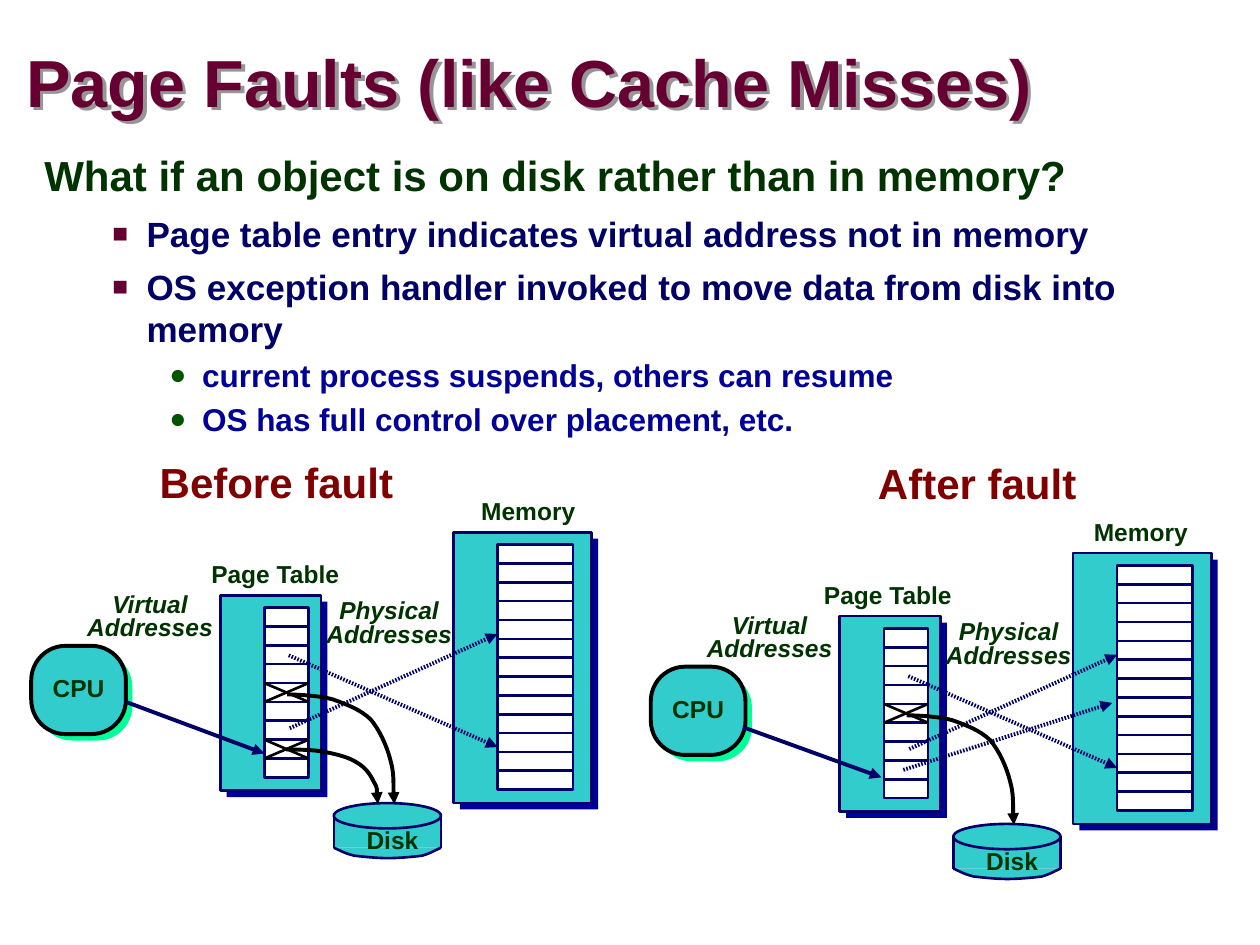
"""Build a slide on page faults, showing the page table before and after a fault."""
from dataclasses import dataclass
from typing import Any, Optional

from lxml.etree import SubElement
from pptx import Presentation
from pptx.dml.color import RGBColor
from pptx.enum.shapes import MSO_CONNECTOR as Connector, MSO_SHAPE as Preset
from pptx.enum.text import MSO_ANCHOR as Anchor, MSO_AUTO_SIZE as AutoSize, PP_ALIGN as Align
from pptx.oxml.ns import qn
from pptx.util import Cm, Pt

NAVY, TEAL, GREEN, BLACK, WHITE = "000066", "33CCCC", "003300", "000000", "FFFFFF"
DEPTH = 0.13
SLOT_HEIGHT = 0.38
SLOT_INSET = (0.89, 0.25)

Point = tuple[float, float]
Line = tuple[Point, Point]


@dataclass(frozen=True)
class Level:
    size: float
    color: str
    margin: float
    indent: float
    spacing: float
    before: float
    bullet: str = ""
    bullet_color: str = ""
    bullet_size: int = 100


@dataclass(frozen=True)
class Panel:
    heading: str
    heading_box: tuple[float, float, float, float]
    dx: float
    dy: float
    label_shift: float
    absent_slots: tuple[int, ...]
    lookup: Line
    mappings: tuple[Line, ...]
    disk_paths: tuple[tuple[Point, ...], ...]


LEVELS = (
    Level(24, GREEN, 1.07, -1.07, 0.95, 0),
    Level(20, NAVY, 2.06, -0.69, 1.0, 6.2, "■", "660033", 75),
    Level(18, "000099", 3.18, -0.66, 1.07, 2.2, "●", "005400", 90),
)
BODY = (
    (0, "What if an object is on disk rather than in memory?"),
    (1, "Page table entry indicates virtual address not in memory"),
    (1, "OS exception handler invoked to move data from disk into memory"),
    (2, "current process suspends, others can resume"),
    (2, "OS has full control over placement, etc."),
)
UPPER_PATH = ((5.79, 14.0), (5.94, 14.0), (6.43, 14.02), (6.71, 14.1), (6.99, 14.2), (7.26, 14.3),
              (7.47, 14.5), (7.65, 14.71), (7.8, 15.04), (7.87, 15.32), (7.95, 15.6), (7.92, 16.0),
              (7.95, 16.21))
LOWER_PATH = ((5.77, 15.11), (5.92, 15.11), (6.32, 15.11), (6.55, 15.16), (6.81, 15.21),
              (7.04, 15.27), (7.19, 15.37), (7.37, 15.47), (7.47, 15.62), (7.54, 15.77),
              (7.62, 15.9), (7.59, 16.1), (7.62, 16.21))
DISK_RIM = ((6.73, 17.09), (6.81, 17.12), (6.93, 17.2), (7.14, 17.25), (7.32, 17.27), (7.59, 17.3),
            (7.82, 17.3), (8.05, 17.3), (8.36, 17.27), (8.51, 17.25), (8.69, 17.2), (8.81, 17.12),
            (8.89, 17.09))
MAPPINGS = (((5.82, 13.21), (10.03, 15.06)), ((5.84, 14.68), (10.03, 12.78)))
PANELS = (
    Panel("Before fault", (2.97, 9.19, 5.21, 1.17), 0, 0, 0, (4, 7),
          ((2.54, 14.15), (5.33, 15.19)), MAPPINGS, (UPPER_PATH, LOWER_PATH)),
    Panel("After fault", (17.45, 9.22, 4.5, 1.17), 12.49, 0.42, -0.14, (4,),
          ((2.49, 14.24), (5.28, 15.25)), MAPPINGS + (((5.72, 15.1), (9.93, 13.75)),),
          (UPPER_PATH,)),
)


def apply(target: Any, values: dict[str, Any]) -> None:
    """Set each named value as an attribute of the target."""
    for name, value in values.items():
        setattr(target, name, value)


def paint(color_format: Any, value: str) -> None:
    """Give a colour format a hex colour."""
    color_format.rgb = RGBColor.from_string(value)


def add_span(para: Any, text: str, size: float, color: str, italic: bool = False) -> None:
    """Add a bold Arial run to a paragraph."""
    span = para.add_run()
    span.text = text
    apply(span.font, {"name": "Arial", "size": Pt(size), "bold": True, "italic": italic})
    paint(span.font.color, color)


def add_label(page: Any, text: str, box_cm: tuple[float, ...], size: float = 14, color: str = GREEN,
              italic: bool = False, spacing: float = 0.9) -> None:
    """Add a text box with one paragraph per line of text."""
    box = page.shapes.add_textbox(*map(Cm, box_cm))
    frame = box.text_frame
    apply(frame, {"word_wrap": False, "auto_size": AutoSize.SHAPE_TO_FIT_TEXT})
    for index, line in enumerate(text.split("\n")):
        para = frame.add_paragraph() if index else frame.paragraphs[0]
        apply(para, {"alignment": Align.CENTER if italic else Align.LEFT, "line_spacing": spacing})
        add_span(para, line, size, color, italic)


def style_shape(shape: Any, fill: Optional[str], line: Optional[str], width: float) -> None:
    """Set the fill and outline of a shape and drop its shadow."""
    shape.shadow.inherit = False
    if fill:
        shape.fill.solid()
        paint(shape.fill.fore_color, fill)
    else:
        shape.fill.background()
    if line:
        paint(shape.line.color, line)
        shape.line.width = Pt(width)
    else:
        shape.line.fill.background()


def add_block(page: Any, box_cm: tuple[float, ...], fill: str, line: Optional[str] = NAVY,
              preset: Preset = Preset.RECTANGLE, width: float = 1.5) -> Any:
    """Add a filled preset shape."""
    shape = page.shapes.add_shape(preset, *map(Cm, box_cm))
    style_shape(shape, fill, line, width)
    if preset == Preset.ROUNDED_RECTANGLE:
        shape.adjustments[0] = 0.39
    return shape


def add_raised(page: Any, box_cm: tuple[float, ...], shade: str, **style: Any) -> Any:
    """Add a teal block above an offset block of the shade colour."""
    left, top, width, height = box_cm
    add_block(page, (left + DEPTH, top + DEPTH, width, height), shade,
              preset=style.get("preset", Preset.RECTANGLE), line=None)
    return add_block(page, box_cm, TEAL, **style)


def add_arrowhead(shape: Any) -> None:
    """Put a triangle at the end of a line."""
    SubElement(shape.line._get_or_add_ln(), qn("a:tailEnd"), type="triangle")


def add_line(page: Any, start: Point, end: Point, color: str = NAVY, width: float = 1.5,
             arrow: bool = False, dotted: bool = False) -> None:
    """Add a straight connector."""
    line = page.shapes.add_connector(Connector.STRAIGHT, *map(Cm, (*start, *end)))
    paint(line.line.color, color)
    line.line.width = Pt(width)
    if dotted:
        dashes = SubElement(line.line._get_or_add_ln(), qn("a:custDash"))
        SubElement(dashes, qn("a:ds"), d="40000", sp="40000")
    if arrow:
        add_arrowhead(line)
    SubElement(line._element.spPr, qn("a:effectLst"))


def add_curve(page: Any, points: list[Point], fill: Optional[str], line: str, width: float) -> Any:
    """Add an open freeform of cubic curves, three points to a curve."""
    start, *rest = [(Cm(x), Cm(y)) for x, y in points]
    builder = page.shapes.build_freeform(*start)
    builder.add_line_segments(rest, close=False)
    shape = builder.convert_to_shape()
    outline = shape._element.find(".//" + qn("a:path"))
    segments = outline.findall(qn("a:lnTo"))
    for first in range(0, len(segments), 3):
        curve = SubElement(outline, qn("a:cubicBezTo"))
        for segment in segments[first:first + 3]:
            curve.append(segment[0])
            outline.remove(segment)
    style_shape(shape, fill, line, width)
    return shape


def add_slots(page: Any, box_cm: tuple[float, ...], width: float, count: int) -> list[tuple[float, ...]]:
    """Add a raised frame with a column of slots and return their boxes."""
    add_raised(page, box_cm, "000099")
    left, top = box_cm[0] + SLOT_INSET[0], box_cm[1] + SLOT_INSET[1]
    slots = [(left, top + row * SLOT_HEIGHT, width, SLOT_HEIGHT) for row in range(count)]
    for slot in slots:
        add_block(page, slot, WHITE)
    return slots


def draw_panel(page: Any, panel: Panel) -> None:
    """Draw one state of the CPU, page table, memory and disk."""
    def at(x: float, y: float, *size: float) -> tuple[float, ...]:
        """Move a place into the panel."""
        return (x + panel.dx, y + panel.dy, *size)

    cpu = add_raised(page, at(0.63, 13.02, 1.91, 1.78), "00FF99", line=BLACK,
                     preset=Preset.ROUNDED_RECTANGLE, width=2.25)
    apply(cpu.text_frame, {"word_wrap": False, "vertical_anchor": Anchor.MIDDLE})
    para = cpu.text_frame.paragraphs[0]
    apply(para, {"alignment": Align.CENTER, "line_spacing": 0.9})
    add_span(para, "CPU", 14, GREEN)

    add_slots(page, at(9.14, 10.73, 2.79, 5.46), 1.52, 13)
    add_label(page, "Memory", at(9.45 + panel.label_shift, 9.94, 2.41, 0.79))
    entries = add_slots(page, at(4.44, 12.0, 2.03, 3.94), 0.89, 9)
    add_label(page, "Page Table", at(4.01 + panel.label_shift, 11.21, 3.12, 0.79))

    for start, end in panel.mappings:
        add_line(page, at(*start), at(*end), width=2.25, arrow=True, dotted=True)
    for row in panel.absent_slots:
        left, top, width, height = entries[row]
        add_line(page, (left, top + height), (left + width, top), BLACK)
        add_line(page, (left + width, top + height), (left, top), BLACK)

    add_block(page, at(6.73, 16.45, 2.16, 0.64), TEAL, None)
    add_block(page, at(6.73, 16.19, 2.16, 0.51), TEAL, preset=Preset.OVAL)
    for side in (6.73, 8.89):
        add_line(page, at(side, 16.45), at(side, 17.09))
    add_curve(page, [at(*point) for point in DISK_RIM], TEAL, NAVY, 1.5)
    add_label(page, "Disk", at(7.14, 16.57, 1.55, 0.79))
    for disk_path in panel.disk_paths:
        add_arrowhead(add_curve(page, [at(*point) for point in disk_path], None, BLACK, 2.25))

    for text, left, top in (("Virtual", 1.5, 11.86), ("Physical", 6.32, 11.99)):
        add_label(page, f"{text}\nAddresses", at(left, top, 3.05, 1.19), italic=True, spacing=0.8)
    add_label(page, panel.heading, panel.heading_box, 24, "800000")
    start, end = panel.lookup
    add_line(page, at(*start), at(*end), width=2.25, arrow=True)


def place(holder: Any, box_cm: tuple[float, ...]) -> None:
    """Move a placeholder to a box."""
    apply(holder, dict(zip(("left", "top", "width", "height"), map(Cm, box_cm))))


def fill_title(title: Any) -> None:
    """Write the shadowed title."""
    place(title, (0.53, 0.94, 24.46, 1.6))
    apply(title.text_frame, {"auto_size": AutoSize.NONE, "vertical_anchor": Anchor.MIDDLE,
                             "margin_left": 0, "margin_right": 0, "margin_top": 0, "margin_bottom": 0})
    para = title.text_frame.paragraphs[0]
    apply(para, {"alignment": Align.LEFT, "line_spacing": 0.87})
    add_span(para, "Page Faults (like Cache Misses)", 38, "660033")
    title.fill.background()
    effects = SubElement(title._element.spPr, qn("a:effectLst"))
    shadow = SubElement(effects, qn("a:outerShdw"), dist="38100", dir="2700000")
    SubElement(shadow, qn("a:srgbClr"), val="969696")


def fill_body(body: Any) -> None:
    """Write the question and its bulleted answer."""
    place(body, (0.64, 2.97, 24.33, 14.63))
    frame = body.text_frame
    frame.auto_size = AutoSize.NONE
    for index, (depth, text) in enumerate(BODY):
        level = LEVELS[depth]
        para = frame.add_paragraph() if index else frame.paragraphs[0]
        properties = para._p.get_or_add_pPr()
        properties.set("marL", str(Cm(level.margin)))
        properties.set("indent", str(Cm(level.indent)))
        if level.bullet:
            SubElement(SubElement(properties, qn("a:buClr")), qn("a:srgbClr"), val=level.bullet_color)
            SubElement(properties, qn("a:buSzPct"), val=str(level.bullet_size * 1000))
            SubElement(properties, qn("a:buFont"), typeface="Arial")
            SubElement(properties, qn("a:buChar"), char=level.bullet)
        else:
            SubElement(properties, qn("a:buNone"))
        apply(para, {"level": depth, "line_spacing": level.spacing, "space_before": Pt(level.before)})
        add_span(para, text, level.size, level.color)


def main() -> None:
    """Build and save the deck."""
    deck = Presentation()
    apply(deck, {"slide_width": Cm(25.4), "slide_height": Cm(19.05)})
    page = deck.slides.add_slide(deck.slide_layouts[1])
    fill_title(page.shapes.title)
    fill_body(page.placeholders[1])
    for panel in PANELS:
        draw_panel(page, panel)
    deck.save("out.pptx")


if __name__ == "__main__":
    main()
